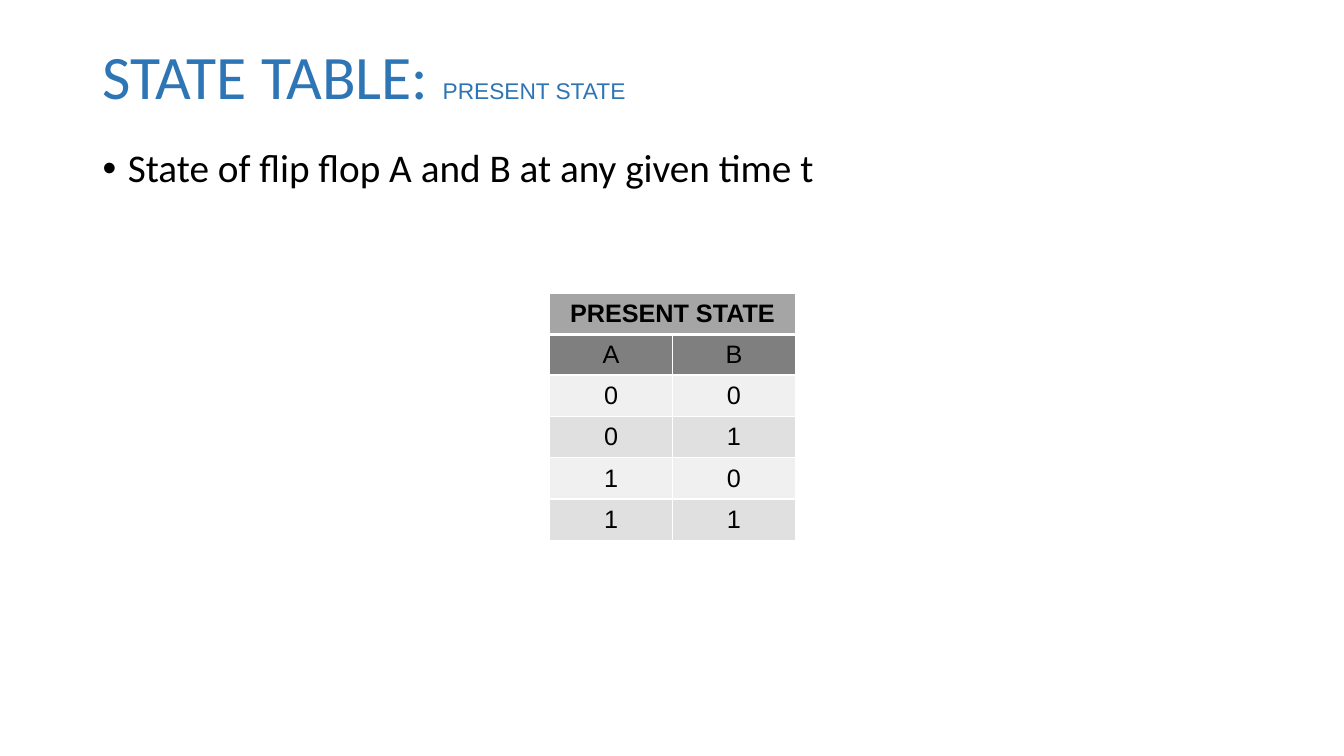
from dataclasses import dataclass

from lxml.etree import SubElement
from pptx import Presentation
from pptx.dml.color import RGBColor as Color
from pptx.enum.text import MSO_ANCHOR as Anchor, PP_ALIGN as Align
from pptx.oxml.ns import qn
from pptx.slide import Slide
from pptx.table import _Cell as Cell
from pptx.text.text import _Paragraph as Paragraph
from pptx.util import Inches, Pt


@dataclass(frozen=True)
class Theme:
    heading_font: str = "Calibri"
    table_font: str = "Arial"
    blue: str = "2E75B5"
    black: str = "000000"
    white: str = "FFFFFF"
    header_fill: str = "A5A5A5"
    label_fill: str = "7F7F7F"
    light_fill: str = "F0F0F0"
    dark_fill: str = "E0E0E0"
    title_size: float = 44.1
    subtitle_size: float = 16.2
    body_size: float = 28
    table_size: float = 18
    rule: float = 1
    header_rule: float = 3


@dataclass(frozen=True)
class Row:
    values: tuple[str, str]
    fill: str
    height: float = 0.41
    bold: bool = False
    top: float = 1
    bottom: float = 1


THEME = Theme()
ROWS = (
    Row(("PRESENT STATE", ""), THEME.header_fill, bold=True, bottom=THEME.header_rule),
    Row(("A", "B"), THEME.label_fill, height=0.29, top=THEME.header_rule),
    Row(("0", "0"), THEME.light_fill),
    Row(("0", "1"), THEME.dark_fill),
    Row(("1", "0"), THEME.light_fill),
    Row(("1", "1"), THEME.dark_fill),
)


def add_text(para: Paragraph, text: str, *, font: str, size: float,
             color: str, bold: bool = False) -> None:
    span = para.add_run()
    span.text = text
    span.font.name = font
    span.font.size = Pt(size)
    span.font.bold = bold
    span.font.color.rgb = Color.from_string(color)


def add_box(page: Slide, top: float, height: float, inset: float) -> Paragraph:
    box = page.shapes.add_textbox(Inches(0.92), Inches(top), Inches(11.5), Inches(height))
    frame = box.text_frame
    frame.word_wrap = True
    frame.margin_top = Inches(inset)
    para = frame.paragraphs[0]
    para.line_spacing = 0.9
    return para


def add_bullet(para: Paragraph, color: str) -> None:
    properties = para._p.get_or_add_pPr()
    properties.set("marL", str(Inches(0.25)))
    properties.set("indent", str(-Inches(0.25)))
    SubElement(SubElement(properties, qn("a:buClr")), qn("a:srgbClr"), val=color)
    SubElement(properties, qn("a:buFont"), typeface="Arial")
    SubElement(properties, qn("a:buChar"), char="•")


def style_cell(cell: Cell, row: Row) -> None:
    # Borders come before the fill in the cell properties
    properties = cell._tc.get_or_add_tcPr()
    widths = {"lnL": THEME.rule, "lnR": THEME.rule, "lnT": row.top, "lnB": row.bottom}
    for side, width in widths.items():
        line = SubElement(properties, qn(f"a:{side}"), w=str(Pt(width)))
        SubElement(SubElement(line, qn("a:solidFill")), qn("a:srgbClr"), val=THEME.white)
    cell.fill.solid()
    cell.fill.fore_color.rgb = Color.from_string(row.fill)
    cell.vertical_anchor = Anchor.MIDDLE


def add_state_table(page: Slide) -> None:
    height = sum(row.height for row in ROWS)
    table = page.shapes.add_table(len(ROWS), 2, Inches(5.45), Inches(2.91),
                                  Inches(2.44), Inches(height)).table
    for column in table.columns:
        column.width = Inches(1.22)
    table.cell(0, 0).merge(table.cell(0, 1))
    for row_index, row in enumerate(ROWS):
        table.rows[row_index].height = Inches(row.height)
        for column_index, value in enumerate(row.values):
            cell = table.cell(row_index, column_index)
            style_cell(cell, row)
            if value:
                para = cell.text_frame.paragraphs[0]
                para.alignment = Align.CENTER
                add_text(para, value, font=THEME.table_font, size=THEME.table_size,
                         color=THEME.black, bold=row.bold)


def main() -> None:
    deck = Presentation()
    deck.slide_width, deck.slide_height = Inches(13.33), Inches(7.5)
    page = deck.slides.add_slide(deck.slide_layouts[6])

    # Title
    title = add_box(page, top=0.4, height=1.03, inset=0.06)
    add_text(title, "STATE TABLE: ", font=THEME.heading_font,
             size=THEME.title_size, color=THEME.blue)
    add_text(title, "PRESENT STATE", font=THEME.table_font,
             size=THEME.subtitle_size, color=THEME.blue)

    # Body
    body = add_box(page, top=1.43, height=5.32, inset=0.05)
    add_bullet(body, THEME.black)
    add_text(body, "State of flip flop A and B at any given time t",
             font=THEME.heading_font, size=THEME.body_size, color=THEME.black)

    # State table
    add_state_table(page)
    deck.save("out.pptx")


if __name__ == "__main__":
    main()
